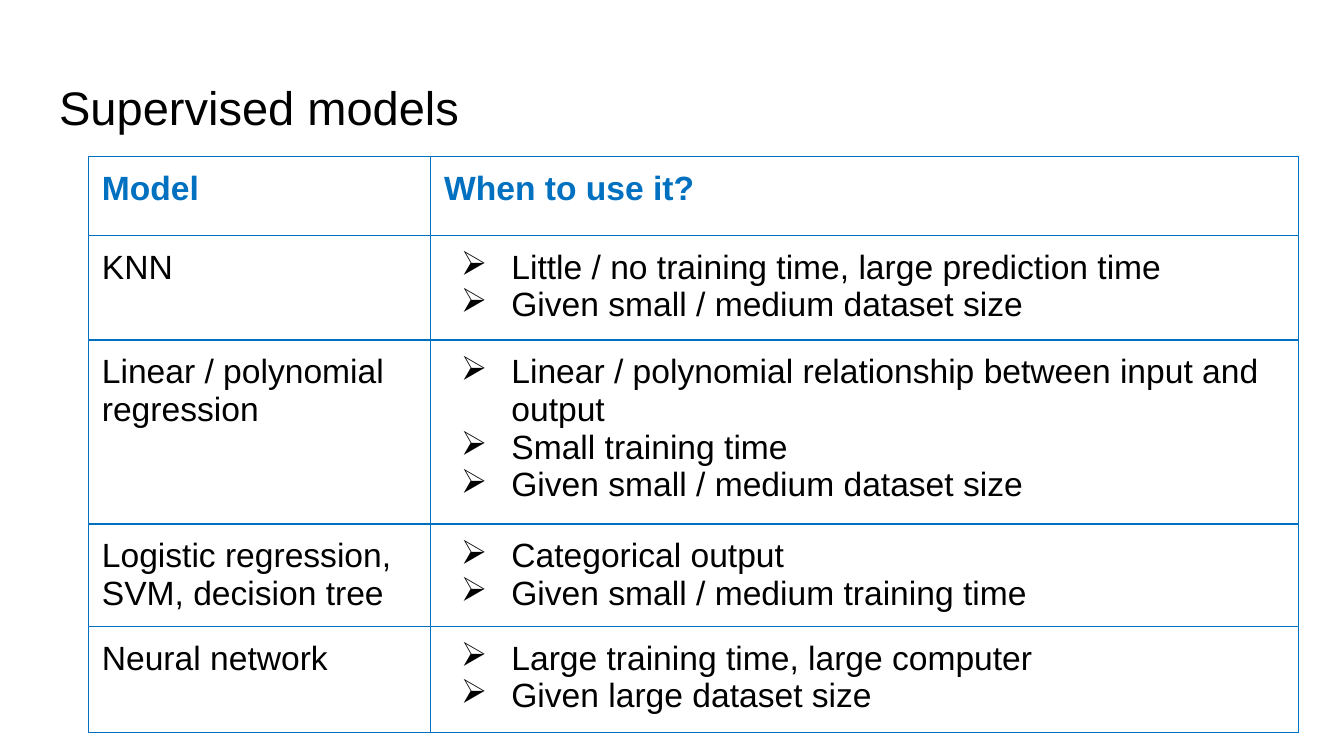
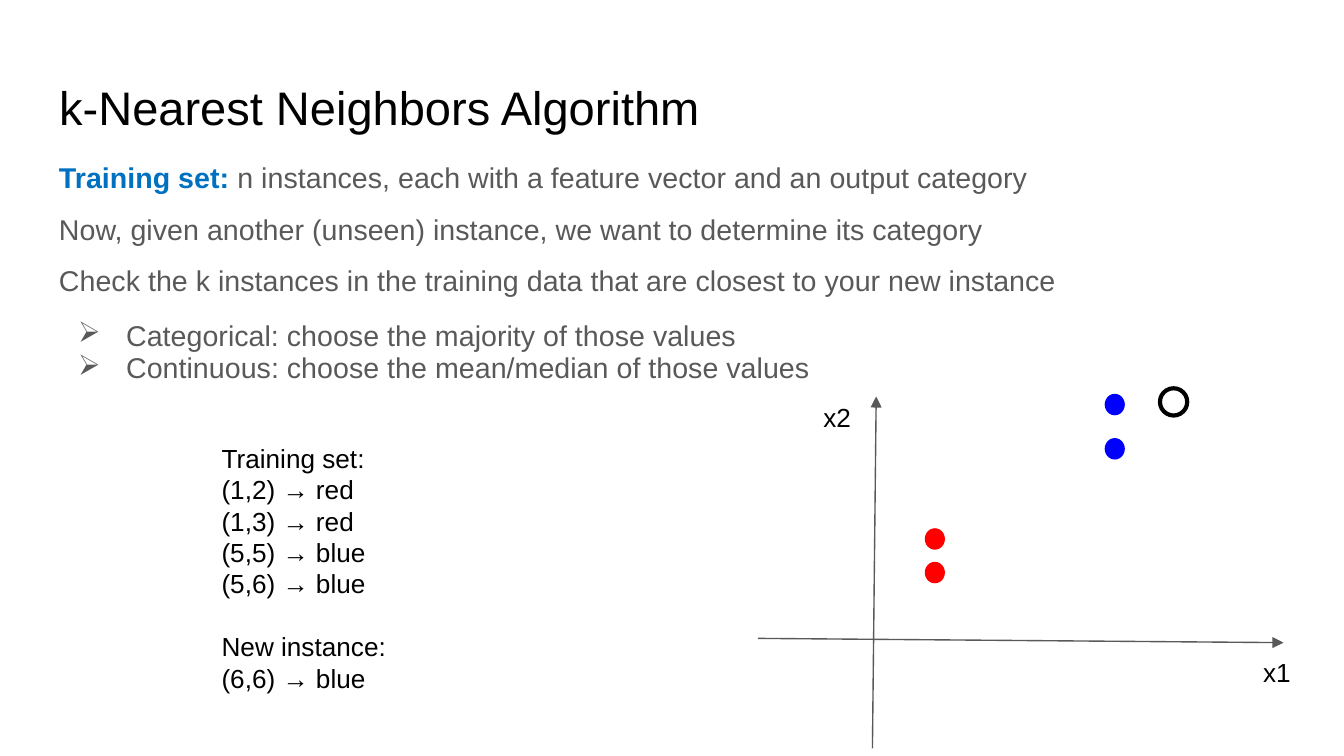
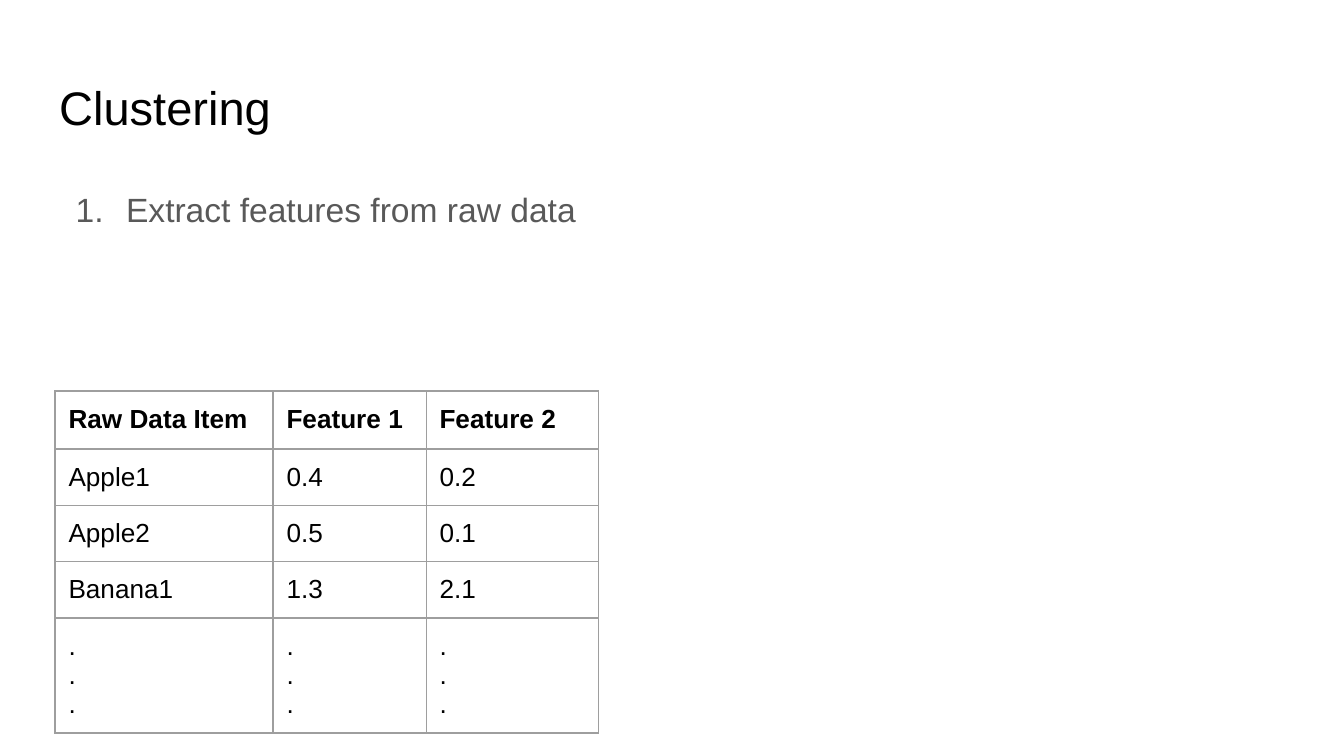
from dataclasses import dataclass

from lxml.etree import SubElement
from pptx import Presentation
from pptx.dml.color import RGBColor
from pptx.enum.shapes import MSO_CONNECTOR, MSO_SHAPE
from pptx.enum.text import MSO_ANCHOR, MSO_AUTO_SIZE, PP_ALIGN
from pptx.oxml.ns import qn
from pptx.util import Pt


@dataclass(frozen=True)
class Theme:
    font: str = "Arial"
    black: str = "000000"
    white: str = "FFFFFF"
    accent: str = "0070C0"
    body: str = "595959"
    grid: str = "9E9E9E"
    red: str = "FF0000"
    blue: str = "0000FF"
    title_size: float = 25.2
    large_size: float = 18
    text_size: float = 15.3
    small_size: float = 14
    inset: float = 7.2
    hairline: float = 0.75


theme = Theme()


def write_text(frame, lines, size, color, bold=False, bullet=None, indent=27):
    frame.word_wrap = True
    frame.auto_size = MSO_AUTO_SIZE.NONE
    frame.vertical_anchor = MSO_ANCHOR.TOP
    frame.margin_left = frame.margin_right = Pt(theme.inset)
    frame.margin_top = frame.margin_bottom = Pt(theme.inset)
    for index, line in enumerate(lines):
        para = frame.paragraphs[0] if index == 0 else frame.add_paragraph()
        para.add_run().text = line.removeprefix("➢ ")
        para.alignment = PP_ALIGN.LEFT
        mark = "➢" if line.startswith("➢ ") else bullet
        if mark:
            properties = para._p.get_or_add_pPr()
            properties.set("marL", str(Pt(36)))
            properties.set("indent", str(-Pt(indent)))
            bullet_color = SubElement(properties, qn("a:buClr"))
            SubElement(bullet_color, qn("a:srgbClr"), val=color)
            if mark == "➢":
                SubElement(properties, qn("a:buChar"), char=mark)
            else:
                SubElement(properties, qn("a:buAutoNum"), type=mark)
        para.font.name = theme.font
        para.font.size = Pt(size)
        para.font.bold = bold
        para.font.color.rgb = RGBColor.from_string(color)
    return frame.paragraphs


def draw_table(page, left, top, widths, heights, rows, size, header_color, border):
    table = page.shapes.add_table(
        len(rows), len(widths), Pt(left), Pt(top), Pt(sum(widths)), Pt(sum(heights))
    ).table
    table.first_row = table.horz_banding = False
    for column, width in zip(table.columns, widths):
        column.width = Pt(width)
    for row_index, (row, height) in enumerate(zip(rows, heights)):
        table.rows[row_index].height = Pt(height)
        for column_index, content in enumerate(row):
            cell = table.cell(row_index, column_index)
            header = row_index == 0
            write_text(cell.text_frame, content.split("\n"), size,
                       header_color if header else theme.black, header)
            cell.margin_left = cell.margin_right = Pt(theme.inset)
            cell.margin_top = cell.margin_bottom = Pt(theme.inset)
            properties = cell._tc.get_or_add_tcPr()
            for side in ("lnL", "lnR", "lnT", "lnB"):
                edge = SubElement(properties, qn(f"a:{side}"), w=str(Pt(theme.hairline)))
                SubElement(SubElement(edge, qn("a:solidFill")), qn("a:srgbClr"), val=border)
            cell.fill.solid()
            cell.fill.fore_color.rgb = RGBColor.from_string(theme.white)


deck = Presentation()
deck.slide_width, deck.slide_height = Pt(720), Pt(405)

pages = []
for heading in ("Supervised models", "k-Nearest Neighbors Algorithm", "Clustering"):
    page = deck.slides.add_slide(deck.slide_layouts[5])
    title = page.shapes.title
    title.left, title.top, title.width, title.height = Pt(24.5), Pt(35), Pt(671), Pt(45)
    write_text(title.text_frame, [heading], theme.title_size, theme.black)
    pages.append(page)
models_page, neighbors_page, clustering_page = pages

model_rows = [
    ("Model", "When to use it?"),
    ("KNN",
     "➢ Little / no training time, large prediction time\n"
     "➢ Given small / medium dataset size"),
    ("Linear / polynomial regression",
     "➢ Linear / polynomial relationship between input and output\n"
     "➢ Small training time\n"
     "➢ Given small / medium dataset size"),
    ("Logistic regression, SVM, decision tree",
     "➢ Categorical output\n"
     "➢ Given small / medium training time"),
    ("Neural network",
     "➢ Large training time, large computer\n"
     "➢ Given large dataset size"),
]
draw_table(models_page, 47.4, 84, (183.4, 465), (42, 56.2, 98.6, 49.7, 56.9),
           model_rows, theme.large_size, theme.accent, theme.accent)

box = neighbors_page.shapes.add_textbox(Pt(24.5), Pt(80), Pt(671), Pt(139))
steps = write_text(box.text_frame, [
    "Training set:",
    "Now, given another (unseen) instance, we want to determine its category",
    "Check the k instances in the training data that are closest to your new instance",
    "➢ Categorical: choose the majority of those values",
    "➢ Continuous: choose the mean/median of those values",
], theme.text_size, theme.body, indent=25.7)
for para, gap in zip(steps, (0, 10, 10, 12, 0)):
    para.line_spacing = 0.95
    para.space_before = Pt(gap)
label = steps[0].runs[0]
label.font.bold = True
label.font.color.rgb = RGBColor.from_string(theme.accent)
span = steps[0].add_run()
span.text = " n instances, each with a feature vector and an output category"

for start_x, start_y, end_x, end_y in ((467.4, 401, 469.4, 212.4), (406, 342, 687.6, 344.3)):
    axis = neighbors_page.shapes.add_connector(
        MSO_CONNECTOR.STRAIGHT, Pt(start_x), Pt(start_y), Pt(end_x), Pt(end_y))
    axis.line.width = Pt(theme.hairline)
    axis.line.color.rgb = RGBColor.from_string(theme.body)
    SubElement(axis.line._get_or_add_ln(), qn("a:tailEnd"), type="triangle")
    SubElement(axis._element.spPr, qn("a:effectLst"))

box = neighbors_page.shapes.add_textbox(Pt(111.6), Pt(229.7), Pt(147.6), Pt(162))
examples = write_text(box.text_frame, [
    "Training set:", "(1,2) → red", "(1,3) → red", "(5,5) → blue", "(5,6) → blue",
    "New instance:", "(6,6) → blue",
], theme.small_size, theme.black)
examples[5].space_before = Pt(17)

for left, top, width, height, color, outline in (
    (495.4, 301, 10.8, 11.5, theme.red, None),
    (495.4, 283, 10.8, 11.5, theme.red, None),
    (591.8, 234.7, 10.8, 11.5, theme.blue, None),
    (591.8, 211, 10.8, 11.5, theme.blue, None),
    (621.4, 208, 14.6, 14.6, theme.white, theme.black),
):
    dot = neighbors_page.shapes.add_shape(
        MSO_SHAPE.OVAL, Pt(left), Pt(top), Pt(width), Pt(height))
    dot.shadow.inherit = False
    dot.fill.solid()
    dot.fill.fore_color.rgb = RGBColor.from_string(color)
    if outline:
        dot.line.width = Pt(2.25)
        dot.line.color.rgb = RGBColor.from_string(outline)
    else:
        dot.line.fill.background()

for name, left, top in (("x1", 669.6, 344.2), ("x2", 434, 208)):
    box = neighbors_page.shapes.add_textbox(Pt(left), Pt(top), Pt(35.3), Pt(27.4))
    write_text(box.text_frame, [name], theme.small_size, theme.black)

box = clustering_page.shapes.add_textbox(Pt(24.5), Pt(90.7), Pt(296), Pt(100))
[step] = write_text(box.text_frame, ["Extract features from raw data"],
                    theme.large_size, theme.body, bullet="arabicPeriod")
step.line_spacing = 1.15
step.space_after = Pt(10)

feature_rows = [
    ("Raw Data Item", "Feature 1", "Feature 2"),
    ("Apple1", "0.4", "0.2"),
    ("Apple2", "0.5", "0.1"),
    ("Banana1", "1.3", "2.1"),
    (".\n.\n.",) * 3,
]
draw_table(clustering_page, 29.5, 209.5, (116.8, 82, 92.2), (31, 30.2, 30.2, 30.2, 30.2),
           feature_rows, theme.small_size, theme.black, theme.grid)

deck.save("out.pptx")
